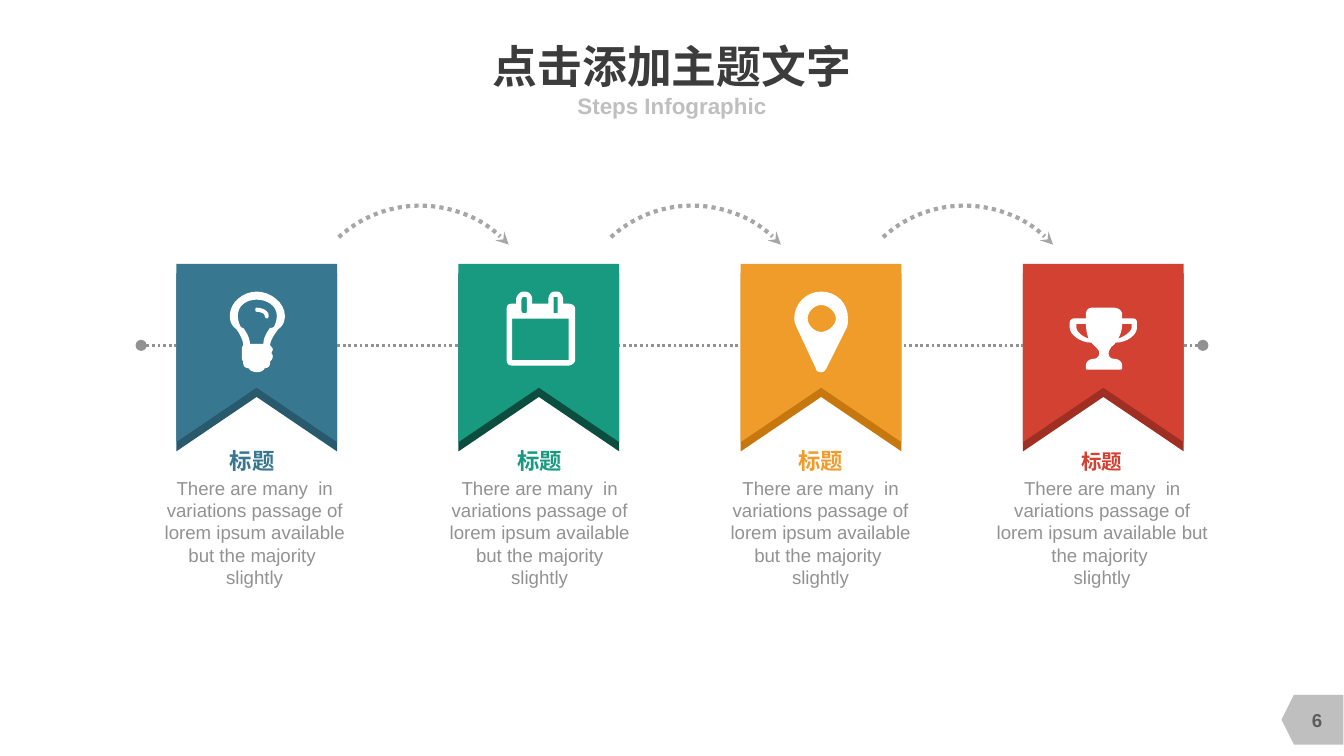
from collections import namedtuple
from dataclasses import dataclass

from pptx import Presentation, util as u
from pptx.dml.color import RGBColor
from pptx.enum import dml, shapes, text
from pptx.oxml import parse_xml
from pptx.oxml.ns import nsdecls, qn

CELL = u.Inches(0.1)
COLUMNS, ROWS = 100, 56.25
FIRST_CENTER, STEP_PITCH = 19.1, 21
BANNER_TOP, BANNER_WIDTH, BANNER_HEIGHT, NOTCH = 19.64, 11.96, 13.25, 4.05
SHADE_DROP = 0.7


@dataclass(frozen=True)
class Theme:
    """Colours, type sizes and font of the deck."""
    font: str = "Arial"
    heading: str = "3C3C3C"
    pale: str = "BFBFBF"
    body: str = "929292"
    arrow: str = "A6A6A6"
    page: str = "5C5C5C"
    white: str = "FFFFFF"
    heading_size: int = 24
    label_size: int = 12
    small_label_size: int = 11
    body_size: int = 10


THEME = Theme()
Step = namedtuple("Step", "label label_size color shade body body_width text_center icon icon_col icon_row")

BULB = """M 36 28 C 34 31 30 36 30 40 C 31 41 32 42 32 43 C 32 44 31 45 31 46
C 31 46 32 47 32 48 C 32 50 31 51 30 52 L 30 53 C 30 56 28 57 26 57 C 25 59 23 60 20 60
C 18 60 15 59 14 57 C 12 57 10 56 10 53 L 10 52 C 9 51 9 50 9 48 L 9 43 C 9 42 9 41 10 40
C 10 36 7 31 5 28 C 2 26 0 23 0 18 C 0 8 10 0 20 0 C 30 0 41 8 41 18 C 41 23 39 26 36 28
M 20 6 C 13 6 6 10 6 18 C 6 21 7 24 8 26 C 9 27 9 27 10 27 C 13 31 15 35 15 39 L 25 39
C 25 35 27 31 30 27 C 31 27 32 27 33 26 C 34 24 35 21 35 18 C 35 10 27 6 20 6
M 28 20 C 27 20 26 19 26 18 C 26 16 22 15 20 15 C 19 15 19 14 19 13 C 19 13 19 12 20 12
C 24 12 29 14 29 18 C 29 19 28 20 28 20"""
CALENDAR = """M 51 51 C 51 53 48 55 46 55 L 4 55 C 1 55 0 53 0 51 L 0 13 C 0 10 1 9 4 9
L 7 9 L 7 6 C 7 3 10 0 12 0 L 14 0 C 17 0 19 3 19 6 L 19 9 L 31 9 L 31 6 C 31 3 33 0 35 0
L 38 0 C 40 0 42 3 42 6 L 42 9 L 46 9 C 48 9 51 10 51 13 L 51 51
M 46 51 L 46 20 L 4 20 L 4 51 L 46 51
M 15 6 C 15 5 15 4 14 4 L 12 4 C 12 4 11 5 11 6 L 11 14 C 11 15 12 16 12 16 L 14 16
C 15 16 15 15 15 14 L 15 6
M 38 6 C 38 5 38 4 38 4 L 35 4 L 35 16 L 38 16 L 38 6"""
PIN = """M 39 27 L 24 57 C 23 59 22 60 20 60 C 18 60 16 59 16 57 L 2 27 C 1 25 0 22 0 20
C 0 9 9 0 20 0 C 32 0 40 9 40 20 C 40 22 40 25 39 27
M 20 10 C 15 10 10 15 10 20 C 10 25 15 30 20 30 C 25 30 31 25 31 20 C 31 15 25 10 20 10"""
TROPHY = """M 50 15 C 50 20 43 26 34 26 C 33 28 31 29 31 29 C 30 31 29 32 29 34
C 29 36 30 38 33 38 C 36 38 39 40 39 43 L 39 45 C 39 46 38 46 38 46 L 13 46
C 12 46 12 46 12 45 L 12 43 C 12 40 15 38 18 38 C 20 38 22 36 22 34 C 22 32 21 31 19 29
C 19 29 18 28 16 26 C 8 26 0 20 0 15 L 0 11 C 0 9 2 8 3 8 L 12 8 L 12 5 C 12 2 14 0 16 0
L 33 0 C 36 0 39 2 39 5 L 39 8 L 47 8 C 49 8 50 9 50 11 L 50 15
M 12 12 L 5 12 L 5 15 C 5 17 8 21 14 23 C 13 20 12 16 12 12
M 46 12 L 39 12 C 39 16 38 20 36 23 C 42 21 46 17 46 15 L 46 12"""

PASSAGE = "There are many  in variations passage of lorem ipsum available"
ENDING = " but the majority \vslightly"
STEPS = [
    Step("标题 ", THEME.label_size, "377790", "29596C", PASSAGE + ENDING, 14.6, 18.95, BULB, 17.1, 21.7),
    Step("标题", THEME.label_size, "189A80", "0C4D40", PASSAGE + "\v" + ENDING, 15.7, 40.15,
         CALENDAR, 37.7, 21.7),
    Step("标题", THEME.label_size, "F09C2A", "C6780E", PASSAGE + ENDING, 14.3, 61.05, PIN, 59.1, 21.7),
    Step("标题", THEME.small_label_size, "D24132", "A02F23", PASSAGE + ENDING, 15.8, 82,
         TROPHY, 79.6, 22.9),
]


def cells(*lengths):
    """Turn grid cells into slide lengths."""
    return [round(length * CELL) for length in lengths]


def apply(target, formats):
    """Set every attribute named in a dict."""
    for name, value in formats.items():
        setattr(target, name, value)


def paint(shape, color):
    """Give a shape a flat fill without outline or shadow."""
    shape.shadow.inherit = False
    shape.fill.solid()
    shape.fill.fore_color.rgb = RGBColor.from_string(color)
    shape.line.fill.background()


def write(box, words, size, color, bold=False, wrap=True, anchor=text.MSO_ANCHOR.MIDDLE):
    """Fill a box with one centred paragraph."""
    frame = box.text_frame
    apply(frame, dict(margin_left=0, margin_right=0, margin_top=0, margin_bottom=0,
                      word_wrap=wrap, vertical_anchor=anchor, auto_size=text.MSO_AUTO_SIZE.NONE))
    line = frame.paragraphs[0]
    line.text = words
    line.alignment = text.PP_ALIGN.CENTER
    for run in line.runs:
        apply(run.font, dict(name=THEME.font, size=u.Pt(size), bold=bold))
        run.font.color.rgb = RGBColor.from_string(color)


def add_words(slide, area, words, size, color, **options):
    """Add a text box on the grid."""
    write(slide.shapes.add_textbox(*cells(*area)), words, size, color, **options)


def add_outline(slide, contours, color):
    """Draw closed contours, given in cells, as one filled outline."""
    contours = [[cells(*point) for point in contour] for contour in contours]
    builder = slide.shapes.build_freeform(*contours[0][0], scale=1.0)
    for number, contour in enumerate(contours):
        if number:
            builder.move_to(*contour[0])
        builder.add_line_segments(contour[1:], close=True)
    paint(builder.convert_to_shape(), color)


def add_banner(slide, center, top, color):
    """Draw a ribbon with a notched lower edge."""
    left, right = center - BANNER_WIDTH / 2, center + BANNER_WIDTH / 2
    bottom = top + BANNER_HEIGHT
    add_outline(slide, [[(left, top), (right, top), (right, bottom),
                         (center, bottom - NOTCH), (left, bottom)]], color)


def bezier(points, steps=8):
    """Sample a cubic curve after its first point."""
    for t in (number / steps for number in range(1, steps + 1)):
        weights = ((1 - t) ** 3, 3 * t * (1 - t) ** 2, 3 * t * t * (1 - t), t ** 3)
        yield tuple(sum(w * p[axis] for w, p in zip(weights, points)) for axis in (0, 1))


def add_icon(slide, outline, col, row):
    """Draw a white icon whose outline is in tenths of a cell."""
    contours, tokens = [], iter(outline.split())
    for command in tokens:
        count = 3 if command == "C" else 1
        points = [(col + int(next(tokens)) / 10, row + int(next(tokens)) / 10) for _ in range(count)]
        if command == "M":
            contours.append(points)
        elif command == "L":
            contours[-1] += points
        else:
            contours[-1] += bezier([contours[-1][-1], *points])
    add_outline(slide, contours, THEME.white)


def dot_line(shape, color, width, **ends):
    """Give a line round dots and the named end marks."""
    apply(shape.line, dict(width=u.Pt(width), dash_style=dml.MSO_LINE.ROUND_DOT))
    shape.line.color.rgb = RGBColor.from_string(color)
    outline = shape.element.find(".//" + qn("a:ln"))
    for end, mark in ends.items():
        outline.append(parse_xml(f'<a:{end} {nsdecls("a")} type="{mark}"/>'))


def add_timeline(slide):
    """Draw the dotted line through all steps."""
    line = slide.shapes.add_connector(shapes.MSO_CONNECTOR.STRAIGHT, *cells(89.5, 25.7, 10.5, 25.7))
    dot_line(line, THEME.body, 1.5, headEnd="oval", tailEnd="oval")
    line.element.spPr.append(parse_xml(f'<a:effectLst {nsdecls("a")}/>'))


def add_arc(slide, left):
    """Draw a dotted arc that leads to the next step."""
    arc = slide.shapes.add_shape(shapes.MSO_SHAPE.ARC, *cells(left, 15.3, 17.9, 17.9))
    arc.rotation = 317.5
    arc.shadow.inherit = False
    arc.fill.background()
    dot_line(arc, THEME.arrow, 2.25, tailEnd="stealth")


def add_headings(slide):
    """Place the title, the subtitle and the page number."""
    tag = slide.shapes.add_shape(shapes.MSO_SHAPE.FLOWCHART_OFFPAGE_CONNECTOR, *cells(95.8, 51.25, 3.7, 4.6))
    tag.rotation = 90
    paint(tag, THEME.pale)
    add_words(slide, (95.5, 52.05, 5, 3), "6", THEME.body_size, THEME.page, bold=True)
    title = slide.shapes.title
    apply(title, dict(zip(("left", "top", "width", "height"), cells(19.15, 2.9, 61.7, 3.9))))
    write(title, "点击添加主题文字", THEME.heading_size, THEME.heading, bold=True, wrap=False)
    add_words(slide, (27.5, 6.75, 45, 2.2), "Steps Infographic", THEME.label_size, THEME.pale, bold=True)


def main():
    """Build the slide and save it."""
    deck = Presentation()
    deck.slide_width, deck.slide_height = cells(COLUMNS, ROWS)
    slide = deck.slides.add_slide(deck.slide_layouts[5])
    centers = [FIRST_CENTER + STEP_PITCH * number for number in range(len(STEPS))]
    add_headings(slide)
    for center, step in zip(centers, STEPS):
        add_banner(slide, center, BANNER_TOP + SHADE_DROP, step.shade)
    add_timeline(slide)
    for center, step in zip(centers, STEPS):
        add_banner(slide, center, BANNER_TOP, step.color)
        add_icon(slide, step.icon, step.icon_col, step.icon_row)
        add_words(slide, (step.text_center - 1.8, 33.3, 3.6, 2), step.label, step.label_size, step.color,
                  bold=True, wrap=False)
        add_words(slide, (step.text_center - step.body_width / 2, 35.45, step.body_width, 8.4), step.body,
                  THEME.body_size, THEME.body, anchor=text.MSO_ANCHOR.TOP)
    for number in range(len(STEPS) - 1):
        add_arc(slide, 22.3 + 20.25 * number)
    deck.save("out.pptx")


if __name__ == "__main__":
    main()
